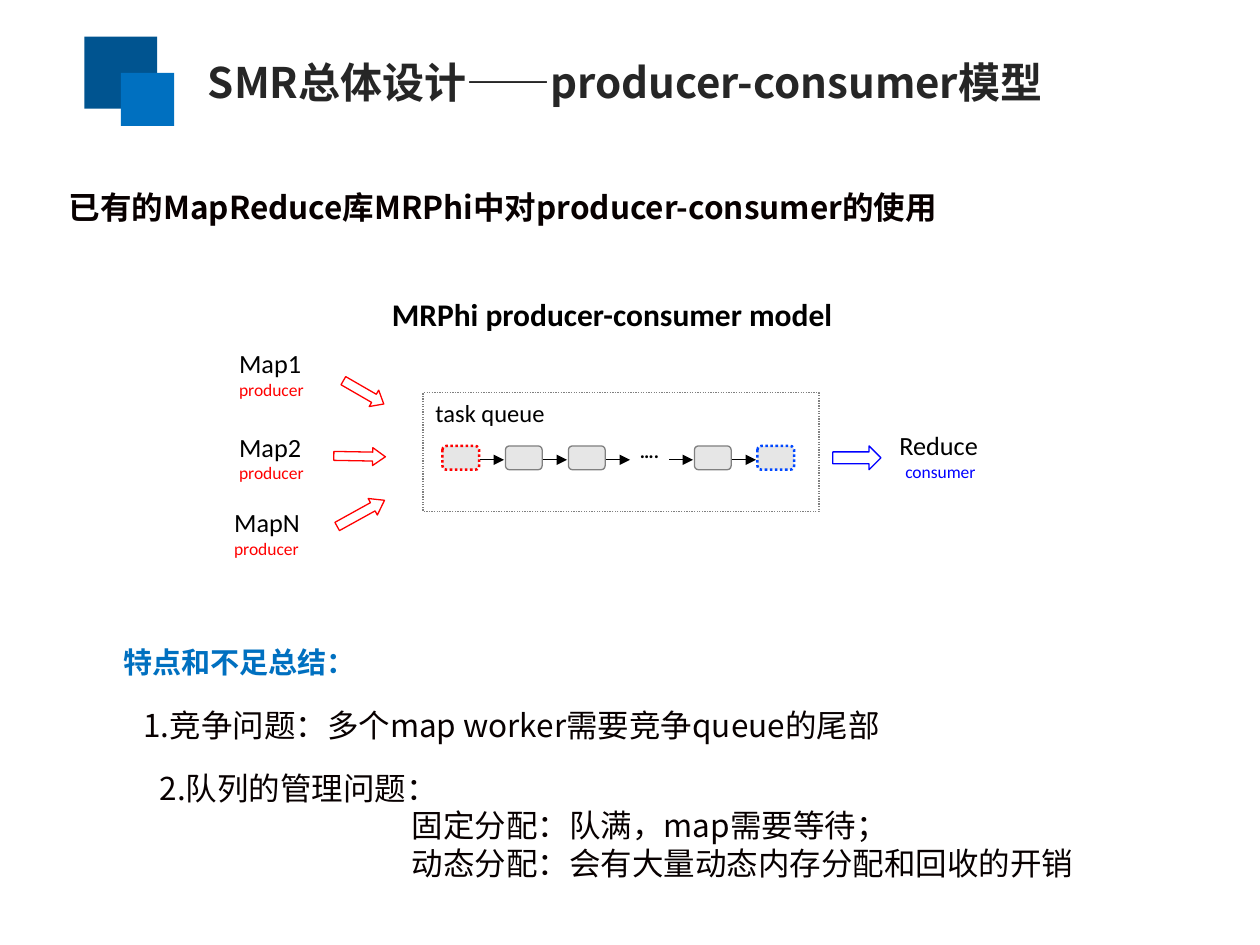
from dataclasses import dataclass
from lxml.etree import SubElement
from pptx import Presentation
from pptx.dml.color import RGBColor
from pptx.enum.dml import MSO_LINE
from pptx.enum.shapes import MSO_CONNECTOR, MSO_SHAPE
from pptx.oxml.ns import qn
from pptx.util import Cm, Pt


@dataclass(frozen=True)
class Theme:
    cjk: str = "Noto Sans CJK SC"
    latin: str = "Calibri"
    navy: str = "005490"
    blue: str = "0070C0"
    dark: str = "262626"
    ink: str = "080000"
    black: str = "000000"
    red: str = "FF0000"
    pure: str = "0000FF"
    tail: str = "0047FF"
    grey: str = "808080"
    pale: str = "E6E6E6"
    white: str = "FFFFFF"
    title: float = 24
    body: float = 18
    head: float = 16.6
    role: float = 15
    label: float = 14
    dots: float = 11.1
    note: float = 10
    thin: float = 0.75
    thick: float = 1.45


T = Theme()

# Content: boxes are left, top, width, height in cm
SQUARES = [((1.7, 0.74, 1.47, 1.45), T.navy), ((2.44, 1.47, 1.07, 1.07), T.blue)]
TEXTS = [
    ((3.94, 1.02, 19.76, 1.27), ["SMR总体设计——producer-consumer模型"],
     dict(size=T.title, color=T.dark, bold=True)),
    ((1.14, 3.66, 19.3, 1.02), ["已有的MapReduce库MRPhi中对producer-consumer的使用"],
     dict(bold=True)),
    ((2.24, 12.95, 6.07, 0.99), ["特点和不足总结："],
     dict(size=T.head, color=T.blue, bold=True, space=0.9)),
    ((2.64, 14.1, 16.4, 1.02), ["1.竞争问题：多个map worker需要竞争queue的尾部"], {}),
    ((2.97, 15.37, 20.52, 2.54),
     ["2.队列的管理问题：", "固定分配：队满，map需要等待；",
      "动态分配：会有大量动态内存分配和回收的开销"], dict(indent=5.08)),
    ((7.65, 5.82, 9.5, 0.99), ["MRPhi producer-consumer model"],
     dict(font=T.latin, color=T.black, bold=True)),
    ((8.53, 7.9, 2.9, 0.81), ["task queue"],
     dict(font=T.latin, size=T.label, color=T.black)),
    ((12.65, 8.79, 1.37, 0.74), ["…."],
     dict(font=T.latin, size=T.dots, color=T.black, bold=True, space=0.9)),
]
# Left, top, width, name, role, colour, indent of the role
ROLES = [
    (4.57, 6.88, 1.98, "Map1", "producer", T.red, 0),
    (4.57, 8.56, 1.98, "Map2", "producer", T.red, 0),
    (4.47, 10.08, 1.98, "MapN", "producer", T.red, 0),
    (17.88, 8.53, 2.3, "Reduce", "consumer", T.pure, 0.12),
]
# Box, turn in degrees, head length, colour
ARROWS = [
    ((6.86, 7.72, 0.94, 0.38), 30, 0.6, T.red),
    ((6.73, 9.02, 1.04, 0.36), 1, 0.71, T.red),
    ((6.73, 10.16, 1.09, 0.38), 331, 0.71, T.red),
    ((16.79, 8.99, 0.97, 0.48), 0, 0.5, T.pure),
]
QUEUE = (8.53, 7.92, 7.98, 2.39)
SLOTS = [T.red, T.grey, T.grey, None, T.grey, T.tail]
FIRST, TOP, PITCH, WIDE, HIGH = 8.92, 8.99, 1.27, 0.74, 0.48

deck = Presentation()
deck.slide_width, deck.slide_height = Cm(25.4), Cm(19.05)
slide = deck.slides.add_slide(deck.slide_layouts[6])


def shape(kind, box, fill=None, line=None, width=T.thin, dash=False):
    item = slide.shapes.add_shape(kind, *map(Cm, box))
    item.shadow.inherit = False
    if fill:
        item.fill.solid()
        item.fill.fore_color.rgb = RGBColor.from_string(fill)
    else:
        item.fill.background()
    if line:
        item.line.color.rgb = RGBColor.from_string(line)
        item.line.width = Pt(width)
        if dash:
            item.line.dash_style = MSO_LINE.ROUND_DOT
    else:
        item.line.fill.background()
    return item


def text(box, lines, font=T.cjk, size=T.body, color=T.ink, bold=False,
         space=None, indent=0, later=None):
    """Write one paragraph per line; later holds size and colour after the first."""
    frame = slide.shapes.add_textbox(*map(Cm, box)).text_frame
    frame.word_wrap = True
    for i, words in enumerate(lines):
        para = frame.add_paragraph() if i else frame.paragraphs[0]
        if space:
            para.line_spacing = space
        if i:
            size, color = later or (size, color)
            if indent:
                para._p.get_or_add_pPr().set("marL", str(Cm(indent)))
        run = para.add_run()
        run.text = words
        run.font.name, run.font.size, run.font.bold = font, Pt(size), bold
        run.font.color.rgb = RGBColor.from_string(color)
        SubElement(run._r.get_or_add_rPr(), qn("a:ea")).set("typeface", font)


def link(left, top, length):
    item = slide.shapes.add_connector(
        MSO_CONNECTOR.STRAIGHT, Cm(left), Cm(top), Cm(left + length), Cm(top))
    item.line.color.rgb = RGBColor.from_string(T.black)
    item.line.width = Pt(T.thin)
    SubElement(item.line._get_or_add_ln(), qn("a:tailEnd")).set("type", "triangle")
    SubElement(item._element.spPr, qn("a:effectLst"))


# Title mark
for box, fill in SQUARES:
    shape(MSO_SHAPE.RECTANGLE, box, fill)

# Queue frame, nodes and links
shape(MSO_SHAPE.RECTANGLE, QUEUE, line=T.grey, dash=True)
for i, edge in enumerate(SLOTS):
    left = FIRST + i * PITCH
    if edge:
        end = edge != T.grey
        shape(MSO_SHAPE.FLOWCHART_ALTERNATE_PROCESS, (left, TOP, WIDE, HIGH),
              T.pale, edge, T.thick if end else T.thin, end)
    if i < len(SLOTS) - 1:
        link(left + WIDE + 0.02, TOP + 0.28, PITCH - WIDE - 0.05)

# Block arrows
for box, turn, head, color in ARROWS:
    arrow = shape(MSO_SHAPE.RIGHT_ARROW, box, line=color)
    arrow.rotation = turn
    arrow.adjustments[1] = head

# Words
for left, top, wide, name, role, color, indent in ROLES:
    text((left, top, wide, 1.27), [name, role], font=T.latin, size=T.role,
         color=T.black, indent=indent, later=(T.note, color))
for box, lines, style in TEXTS:
    text(box, lines, **style)

deck.save("out.pptx")
